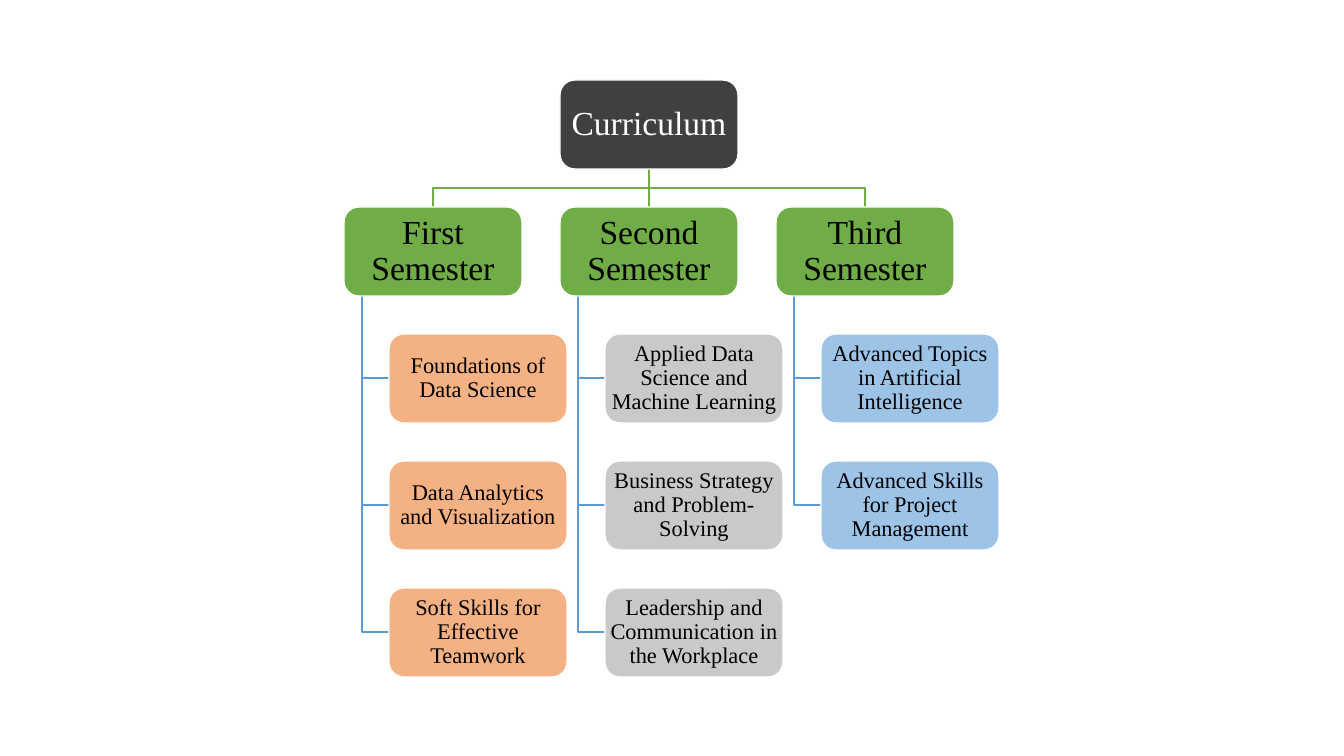
from dataclasses import dataclass

from pptx import Presentation
from pptx.dml.color import RGBColor
from pptx.enum.shapes import MSO_CONNECTOR, MSO_SHAPE
from pptx.enum.text import MSO_ANCHOR, PP_ALIGN
from pptx.util import Emu, Pt
from lxml import etree

ROUNDED = MSO_SHAPE.ROUNDED_RECTANGLE
STRAIGHT = MSO_CONNECTOR.STRAIGHT
CENTER = PP_ALIGN.CENTER
MIDDLE = MSO_ANCHOR.MIDDLE
DRAWING_NS = "http://schemas.openxmlformats.org/drawingml/2006/main"

# Lengths in px
EMU_PER_PX = 914400 / 100.8
SLIDE_W, SLIDE_H = 1344, 756
BOX_W, BOX_H = 178, 89
LEFT, TOP = 344, 80
COLUMN_STEP, ROW_STEP = 216, 127
COURSE_INDENT, STEM_INDENT = 45, 18

FONT = "Times New Roman"
BLACK, WHITE = "000000", "FFFFFF"
ROOT_FILL, GREEN, BLUE = "404040", "70AD47", "5B9BD5"


@dataclass
class Semester:
    name: str
    course_fill: str
    courses: list[str]


@dataclass
class Box:
    text: str
    left: int
    row: int
    fill: str
    size: int = 24
    inset: int = 2
    color: str = BLACK

    @property
    def top(self) -> int:
        return TOP + self.row * ROW_STEP

    @property
    def bottom(self) -> int:
        return self.top + BOX_H

    @property
    def center(self) -> int:
        return self.left + BOX_W // 2

    @property
    def middle(self) -> int:
        return self.top + BOX_H // 2


SEMESTERS = [
    Semester("First Semester", "F4B183", [
        "Foundations of Data Science",
        "Data Analytics and Visualization",
        "Soft Skills for Effective Teamwork"]),
    Semester("Second Semester", "C9C9C9", [
        "Applied Data Science and Machine Learning",
        "Business Strategy and Problem-Solving",
        "Leadership and Communication in the Workplace"]),
    Semester("Third Semester", "9DC3E6", [
        "Advanced Topics in Artificial Intelligence",
        "Advanced Skills for Project Management"]),
]


def px(length: int) -> Emu:
    return Emu(round(length * EMU_PER_PX))


def rgb(value: str) -> RGBColor:
    return RGBColor.from_string(value)


def style_line(line, color: str) -> None:
    line.color.rgb = rgb(color)
    line.width = Pt(1)


def draw_box(slide, box: Box):
    shape = slide.shapes.add_shape(
        ROUNDED, px(box.left), px(box.top), px(BOX_W), px(BOX_H))
    shape.shadow.inherit = False
    shape.fill.solid()
    shape.fill.fore_color.rgb = rgb(box.fill)
    style_line(shape.line, WHITE)
    frame = shape.text_frame
    frame.word_wrap = True
    frame.vertical_anchor = MIDDLE
    frame.margin_left = frame.margin_right = px(box.inset)
    frame.margin_top = frame.margin_bottom = px(box.inset)
    paragraph = frame.paragraphs[0]
    paragraph.alignment = CENTER
    paragraph.line_spacing = 0.9
    run = paragraph.add_run()
    run.text = box.text
    run.font.name = FONT
    run.font.size = Pt(box.size)
    run.font.color.rgb = rgb(box.color)
    return shape


def draw_elbow(slide, points: list[tuple[int, int]], color: str) -> None:
    builder = slide.shapes.build_freeform(*points[0], scale=EMU_PER_PX)
    builder.add_line_segments(points[1:], close=False)
    shape = builder.convert_to_shape()
    shape.shadow.inherit = False
    shape.fill.background()
    style_line(shape.line, color)


def draw_straight(slide, upper: Box, lower: Box, color: str):
    connector = slide.shapes.add_connector(
        STRAIGHT, px(upper.center), px(upper.bottom),
        px(lower.center), px(lower.top))
    style_line(connector.line, color)
    etree.SubElement(connector._element.spPr, f"{{{DRAWING_NS}}}effectLst")
    return connector


def main() -> None:
    presentation = Presentation()
    presentation.slide_width, presentation.slide_height = px(SLIDE_W), px(SLIDE_H)
    slide = presentation.slides.add_slide(presentation.slide_layouts[6])

    # Layout of the tree
    root = Box("Curriculum", LEFT + COLUMN_STEP, 0, ROOT_FILL, color=WHITE)
    heads = [Box(semester.name, LEFT + column * COLUMN_STEP, 1, GREEN)
             for column, semester in enumerate(SEMESTERS)]
    branches = [
        [Box(course, head.left + COURSE_INDENT, row, semester.course_fill, 16, 1)
         for row, course in enumerate(semester.courses, start=2)]
        for head, semester in zip(heads, SEMESTERS)]

    # Lines, behind the boxes
    first, second, third = heads
    joint = (root.bottom + second.top) // 2
    for head in (first, third):
        draw_elbow(slide, [(root.center, root.bottom), (root.center, joint),
                           (head.center, joint), (head.center, head.top)], GREEN)
    trunk = draw_straight(slide, root, second, GREEN)
    for head, courses in zip(heads, branches):
        stem = head.left + STEM_INDENT
        for course in courses:
            draw_elbow(slide, [(stem, head.bottom), (stem, course.middle),
                               (course.left, course.middle)], BLUE)

    # Boxes
    root_shape = draw_box(slide, root)
    head_shapes = []
    for head, courses in zip(heads, branches):
        head_shapes.append(draw_box(slide, head))
        for course in courses:
            draw_box(slide, course)

    # Join the trunk: bottom of the root to top of the middle semester
    trunk.begin_connect(root_shape, 2)
    trunk.end_connect(head_shapes[1], 0)

    presentation.save("out.pptx")


if __name__ == "__main__":
    main()
